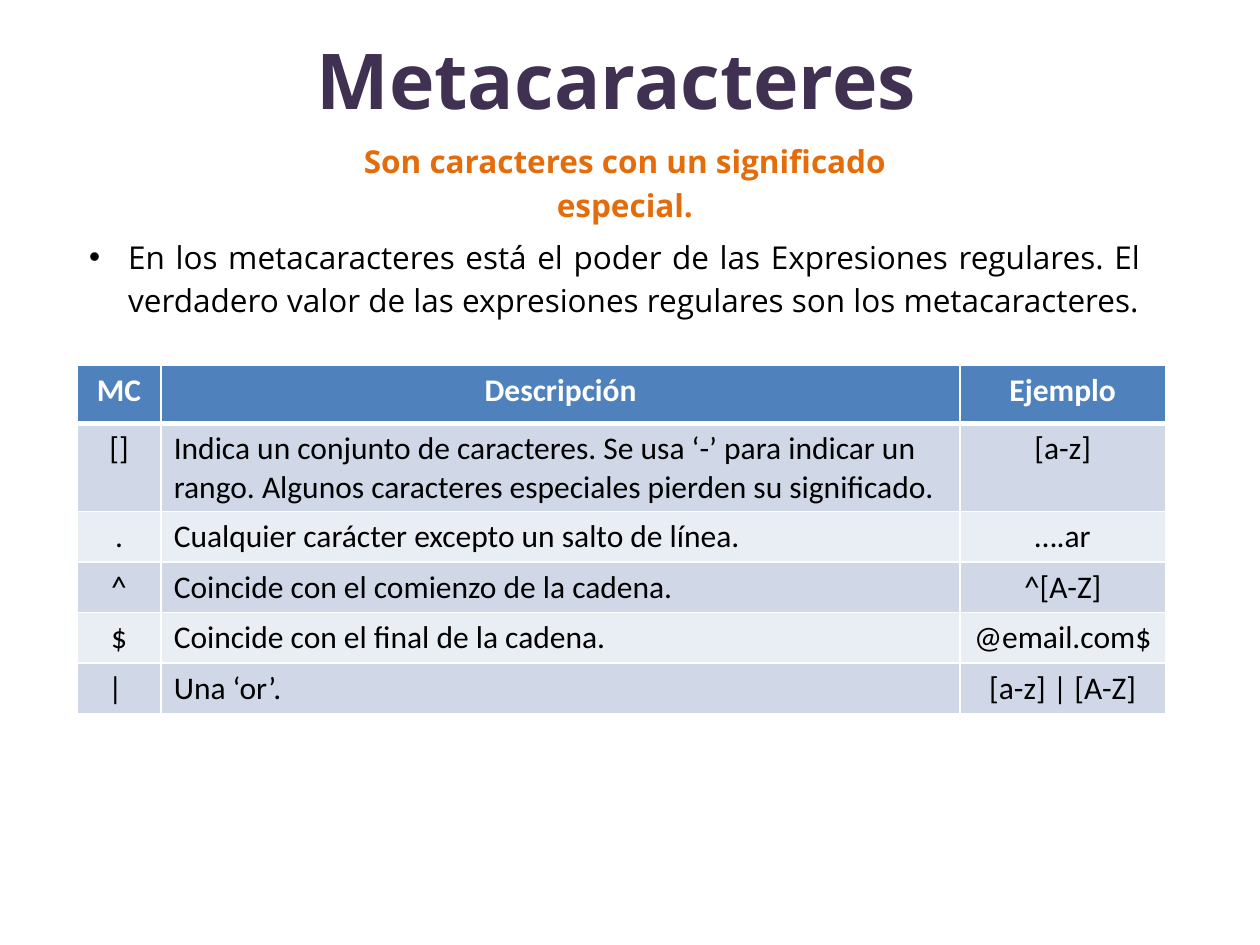
from lxml import etree
from pptx import Presentation, util as u
from pptx.dml.color import RGBColor
from pptx.enum import text
from pptx.oxml.ns import qn

CENTER = text.PP_ALIGN.CENTER
LEFT = text.PP_ALIGN.LEFT
JUSTIFY = text.PP_ALIGN.JUSTIFY
COLUMNS = [0.67, 6.34, 1.63]
ROW_HEIGHTS = [0.46, 0.66, 0.38, 0.38, 0.38, 0.38]
ROWS = [
    ("MC", "Descripción", "Ejemplo"),
    ("[]", "Indica un conjunto de caracteres. Se usa ‘-’ para indicar un rango. "
           "Algunos caracteres especiales pierden su significado.", "[a-z]"),
    (".", "Cualquier carácter excepto un salto de línea.", "….ar"),
    ("^", "Coincide con el comienzo de la cadena.", "^[A-Z]"),
    ("$", "Coincide con el final de la cadena.", "@email.com$"),
    ("| ", "Una ‘or’.", "[a-z] | [A-Z]"),
]


def rgb(color):
    """Turn a hex string into a colour."""
    return RGBColor.from_string(color)


def add_run(p, content, size, font, color, bold=False):
    """Add one formatted run to a paragraph."""
    r = p.add_run()
    r.text = content
    r.font.size = u.Pt(size)
    r.font.name = font
    r.font.bold = bold
    r.font.color.rgb = rgb(color)


def add_text(s, box, content, size, color, align=CENTER, bold=False):
    """Add a wrapped text box and return it."""
    sp = s.shapes.add_textbox(*map(u.Inches, box))
    tf = sp.text_frame
    tf.word_wrap = True
    p = tf.paragraphs[0]
    p.alignment = align
    add_run(p, content, size, "Open Sans", color, bold)
    return sp


def set_spacing(p):
    """Set the fixed line pitch and the gap after a body paragraph."""
    p.line_spacing = u.Pt(25)
    p.space_after = u.Pt(12)


def add_bullet(p, indent):
    """Give a paragraph a round bullet with a hanging indent."""
    pPr = p._p.get_or_add_pPr()
    pPr.set("marL", str(u.Inches(indent)))
    pPr.set("indent", str(-u.Inches(indent)))
    etree.SubElement(pPr, qn("a:buFont"), typeface="Arial")
    etree.SubElement(pPr, qn("a:buChar"), char="•")


def set_borders(cell, top, bottom):
    """Draw white cell borders with the given top and bottom widths."""
    tcPr = cell._tc.get_or_add_tcPr()
    for side, width in (("L", 1), ("R", 1), ("T", top), ("B", bottom)):
        ln = etree.SubElement(tcPr, qn(f"a:ln{side}"), w=str(u.Pt(width)))
        fill = etree.SubElement(ln, qn("a:solidFill"))
        etree.SubElement(fill, qn("a:srgbClr"), val="FFFFFF")


def fill_cell(cell, content, row, col):
    """Write and colour one cell according to its row and column."""
    header = row == 0
    set_borders(cell, 3 if row == 1 else 1, 3 if header else 1)
    cell.fill.solid()
    band = "D0D8E8" if row % 2 else "E9EDF4"
    cell.fill.fore_color.rgb = rgb("4F81BD" if header else band)
    p = cell.text_frame.paragraphs[0]
    p.alignment = LEFT if col == 1 and not header else CENTER
    add_run(p, content, 18, "Calibri", "FFFFFF" if header else "000000", header)


def add_metacharacter_table(s, left, top):
    """Add the table of metacharacters."""
    size = (left, top, sum(COLUMNS), sum(ROW_HEIGHTS))
    tbl = s.shapes.add_table(len(ROWS), len(COLUMNS), *map(u.Inches, size)).table
    for column, width in zip(tbl.columns, COLUMNS):
        column.width = u.Inches(width)
    for i, (height, contents) in enumerate(zip(ROW_HEIGHTS, ROWS)):
        tbl.rows[i].height = u.Inches(height)
        for j, content in enumerate(contents):
            fill_cell(tbl.cell(i, j), content, i, j)


def main():
    """Build and save the slide."""
    prs = Presentation()
    prs.slide_width, prs.slide_height = u.Inches(10), u.Inches(7.5)
    s = prs.slides.add_slide(prs.slide_layouts[6])

    title = add_text(s, (0.32, 0, 9.15, 1.25), "Metacaracteres", 44, "403152", bold=True)
    title.text_frame.vertical_anchor = text.MSO_ANCHOR.MIDDLE

    body = add_text(s, (0.61, 1.79, 8.54, 0.78),
                    "En los metacaracteres está el poder de las Expresiones regulares. "
                    "El verdadero valor de las expresiones regulares son los metacaracteres.",
                    18, "000000", JUSTIFY)
    subtitle = add_text(s, (2.32, 1.03, 5.28, 0.44),
                        "Son caracteres con un significado especial.", 18, "E46C0A", bold=True)
    for sp in (body, subtitle):
        set_spacing(sp.text_frame.paragraphs[0])
    add_bullet(body.text_frame.paragraphs[0], 0.31)

    add_metacharacter_table(s, 0.61, 2.9)
    prs.save("out.pptx")


if __name__ == "__main__":
    main()
